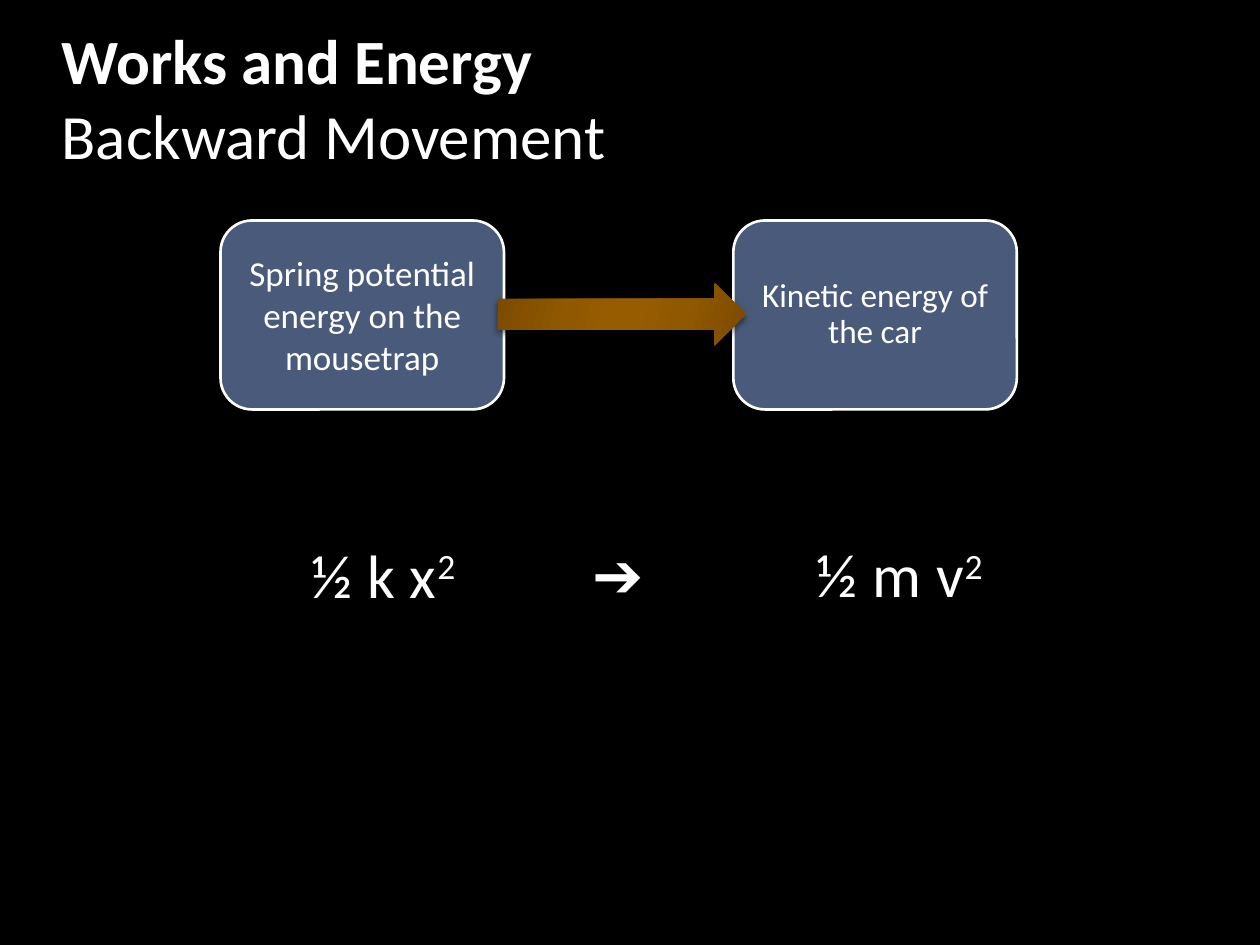
from lxml import etree
from pptx import Presentation
from pptx.dml.color import RGBColor
from pptx.enum.shapes import MSO_SHAPE
from pptx.enum.text import MSO_ANCHOR, MSO_AUTO_SIZE, PP_ALIGN
from pptx.oxml.ns import qn
from pptx.util import Inches, Pt

ROUNDED = MSO_SHAPE.ROUNDED_RECTANGLE
RIGHT_ARROW = MSO_SHAPE.RIGHT_ARROW
TOP, MIDDLE, BOTTOM = MSO_ANCHOR.TOP, MSO_ANCHOR.MIDDLE, MSO_ANCHOR.BOTTOM
LEFT, CENTER = PP_ALIGN.LEFT, PP_ALIGN.CENTER
NO_AUTOFIT = MSO_AUTO_SIZE.NONE

BLACK = RGBColor(0x00, 0x00, 0x00)
WHITE = RGBColor(0xFF, 0xFF, 0xFF)
SLATE = RGBColor(0x4A, 0x5A, 0x7A)
DARK_BROWN = RGBColor(0x7C, 0x4B, 0x00)
BROWN = RGBColor(0x90, 0x58, 0x00)
LIGHT_BROWN = RGBColor(0x97, 0x5C, 0x00)


def write_text(paragraph, text, size, bold=False, superscript=False, spacing=0):
    run = paragraph.add_run()
    run.text = text
    run.font.name = "Calibri"
    run.font.size = Pt(size)
    run.font.bold = bold
    run.font.color.rgb = WHITE
    if spacing:
        run.font._element.set("spc", str(spacing))
    if superscript:
        run.font._element.set("baseline", "30000")


def place(shape, left, top, width, height):
    shape.left, shape.top = Inches(left), Inches(top)
    shape.width, shape.height = Inches(width), Inches(height)


presentation = Presentation()
presentation.slide_width = Inches(10)
presentation.slide_height = Inches(7.5)
slide = presentation.slides.add_slide(presentation.slide_layouts[1])
slide.background.fill.solid()
slide.background.fill.fore_color.rgb = BLACK

title = slide.shapes.title
place(title, 0.39, 0.25, 8.4, 1.17)
title.text_frame.auto_size = NO_AUTOFIT
title.text_frame.vertical_anchor = BOTTOM
heading = title.text_frame.paragraphs[0]
heading.alignment = LEFT
write_text(heading, "Works and Energy", size=36, bold=True)
heading.add_line_break()
write_text(heading, "Backward Movement", size=36)

body = slide.placeholders[1]
place(body, 0.39, 1.6, 9.2, 5.65)
body.text_frame.margin_left = Inches(2.08)
body.text_frame.margin_top = Inches(2.66)
spring_term = body.text_frame.paragraphs[0]
spring_format = spring_term._p.get_or_add_pPr()
spring_format.set("marL", "0")
spring_format.set("indent", "0")
etree.SubElement(spring_format, qn("a:buNone"))

becomes = slide.shapes.add_textbox(Inches(4.7), Inches(4.26), Inches(0.6), Inches(0.7))
kinetic = slide.shapes.add_textbox(Inches(6.48), Inches(4.26), Inches(1.6), Inches(0.7))
for symbol in (becomes, kinetic):
    symbol.text_frame.margin_left = symbol.text_frame.margin_right = Inches(0)
    symbol.text_frame.margin_top = Inches(0)

for part, term, exponent in (
    (body, "½ k x", "2"), (becomes, "➔", ""), (kinetic, "½ m v", "2"),
):
    part.text_frame.auto_size = NO_AUTOFIT
    part.text_frame.word_wrap = True
    part.text_frame.vertical_anchor = TOP
    formula = part.text_frame.paragraphs[0]
    formula.space_before = Pt(0)
    write_text(formula, term, size=35, spacing=30)
    if exponent:
        write_text(formula, exponent, size=35, superscript=True, spacing=30)

energies = (
    ("Spring potential energy on the mousetrap", 1.75, 20, 0.1, 1.0),
    ("Kinetic energy of the car", 5.82, 19, 0.08, 0.9),
)
for label, left, size, margin, line_spacing in energies:
    energy = slide.shapes.add_shape(ROUNDED, Inches(left), Inches(1.75), Inches(2.25), Inches(1.5))
    energy.shadow.inherit = False
    energy.fill.solid()
    energy.fill.fore_color.rgb = SLATE
    energy.line.color.rgb = WHITE
    energy.line.width = Pt(1.5)
    frame = energy.text_frame
    frame.word_wrap = True
    frame.vertical_anchor = MIDDLE
    frame.margin_left = frame.margin_right = Inches(margin)
    frame.margin_top = frame.margin_bottom = Inches(margin)
    caption = frame.paragraphs[0]
    caption.alignment = CENTER
    caption.line_spacing = line_spacing
    write_text(caption, label, size=size)

transfer = slide.shapes.add_shape(RIGHT_ARROW, Inches(3.95), Inches(2.25), Inches(1.97), Inches(0.49))
transfer.line.fill.background()
transfer.fill.gradient()
transfer.fill.gradient_angle = 344
stops = transfer._element.spPr.find(".//" + qn("a:gsLst"))
for stop in list(stops):
    stops.remove(stop)
for percent, color in (
    (0, DARK_BROWN), (30, BROWN), (45, LIGHT_BROWN),
    (55, LIGHT_BROWN), (73, BROWN), (100, DARK_BROWN),
):
    stop = etree.SubElement(stops, qn("a:gs"), pos=str(percent * 1000))
    etree.SubElement(stop, qn("a:srgbClr"), val=str(color))

transfer.shadow.inherit = False
effects = transfer._element.spPr.find(qn("a:effectLst"))
shadow = etree.SubElement(
    effects, qn("a:outerShdw"), blurRad=str(Pt(4)), dist=str(Pt(2)), dir="5400000", rotWithShape="0"
)
shadow_color = etree.SubElement(shadow, qn("a:srgbClr"), val=str(BLACK))
etree.SubElement(shadow_color, qn("a:alpha"), val="50000")

presentation.save("out.pptx")
